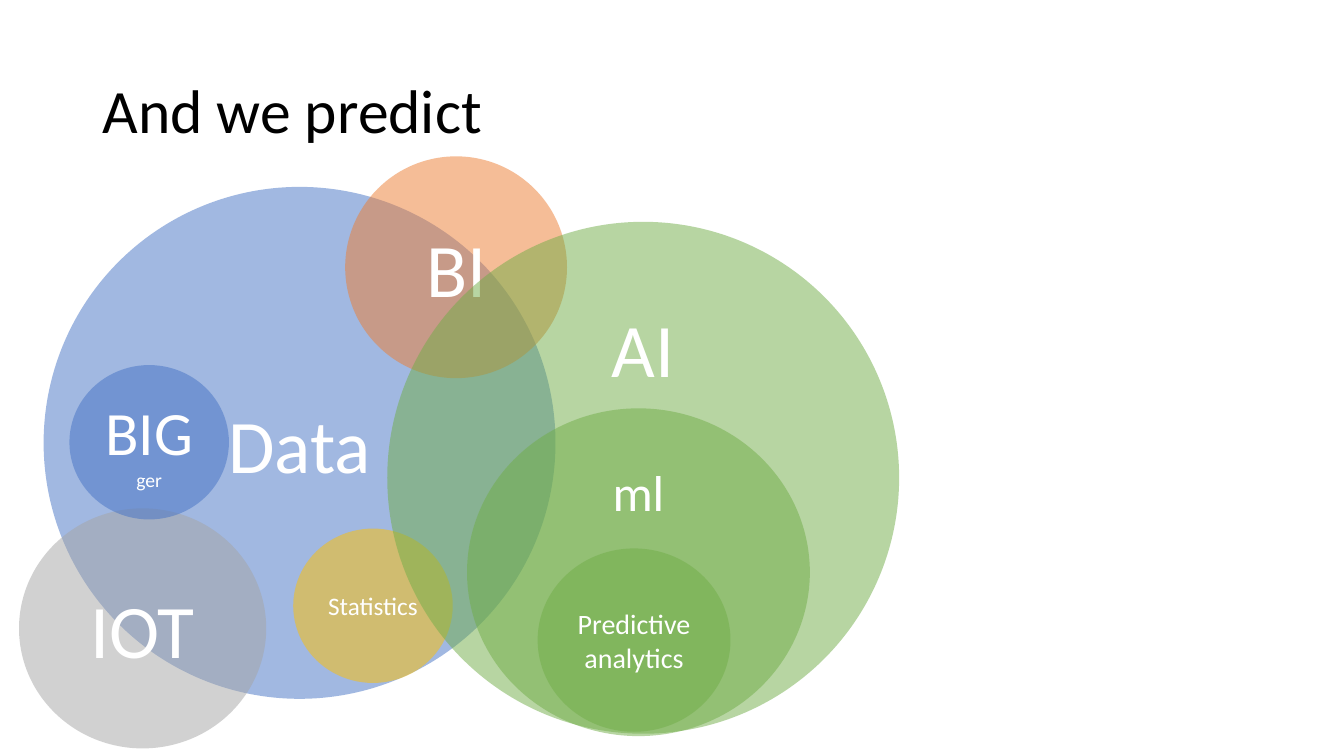
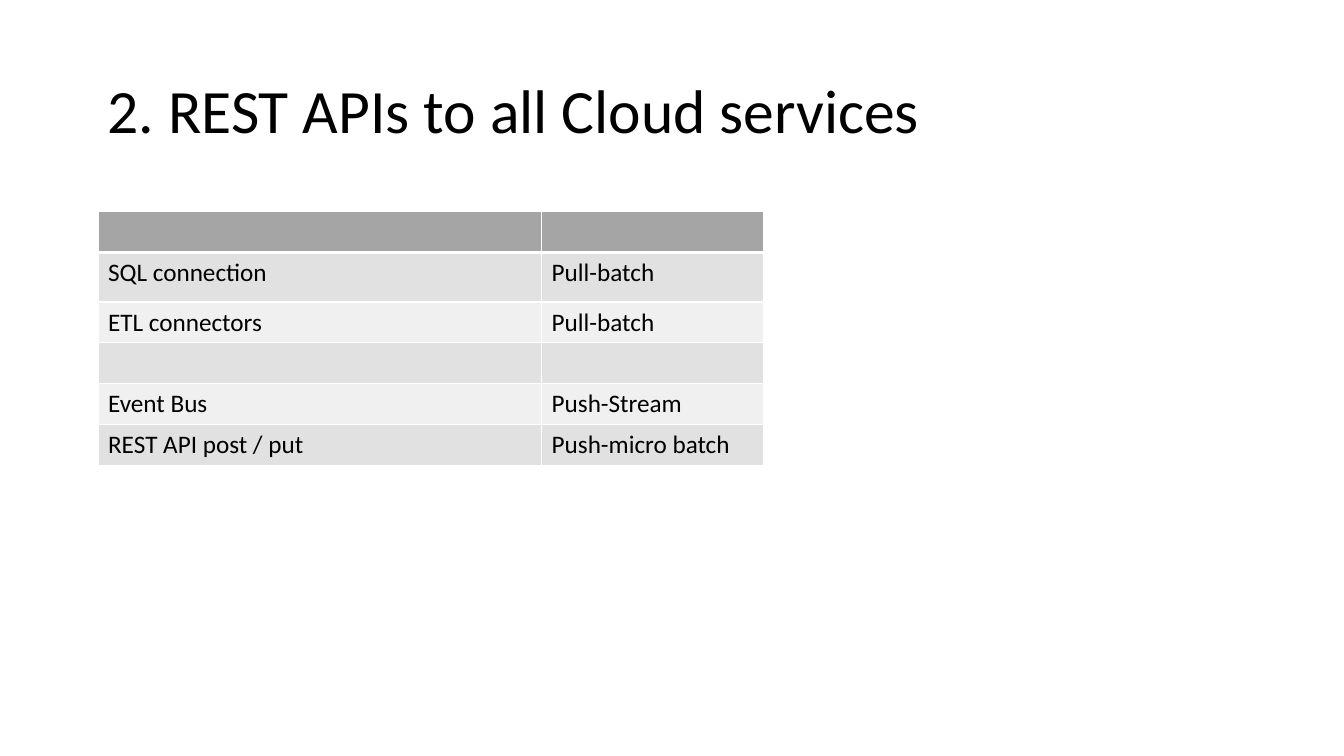
from lxml.etree import SubElement
from pptx import Presentation
from pptx.dml.color import RGBColor
from pptx.enum.shapes import MSO_SHAPE
from pptx.enum.text import MSO_ANCHOR, PP_ALIGN
from pptx.oxml.ns import qn
from pptx.util import Cm, Pt

FONT = "Calibri"
BLACK, WHITE = "000000", "FFFFFF"
BLUE, ORANGE, GRAY, GOLD, GREEN = "4472C4", "ED7D31", "A5A5A5", "FFC000", "70AD47"
BANDS = ["E1E1E1", "F0F0F0"]


def rgb(value):
    return RGBColor.from_string(value)


def write(frame, text, size=18, color=BLACK, align=PP_ALIGN.LEFT,
          anchor=MSO_ANCHOR.TOP, line_spacing=1.0):
    """Add a run to the first paragraph of a text frame."""
    frame.word_wrap = True
    frame.vertical_anchor = anchor
    paragraph = frame.paragraphs[0]
    paragraph.alignment = align
    paragraph.line_spacing = line_spacing
    run = paragraph.add_run()
    run.text = text
    run.font.name = FONT
    run.font.size = Pt(size)
    run.font.color.rgb = rgb(color)


deck = Presentation()
deck.slide_width, deck.slide_height = Cm(33.87), Cm(19.05)

# Slides with their titles
slides = []
for title, left in [("And we predict", 2.34),
                    ("2. REST APIs to all Cloud services", 2.46)]:
    slide = deck.slides.add_slide(deck.slide_layouts[6])
    heading = slide.shapes.add_textbox(Cm(left), Cm(1.01), Cm(29.21), Cm(3.68))
    write(heading.text_frame, title, size=44, anchor=MSO_ANCHOR.MIDDLE, line_spacing=0.9)
    slides.append(slide)
prediction, services = slides

# Overlapping fields: left, top, width, height, colour, anchor, (text, size) runs
MIDDLE, TOP = MSO_ANCHOR.MIDDLE, MSO_ANCHOR.TOP
fields = [
    (1.1, 4.71, 12.9, 12.9, BLUE, MIDDLE, [("Data", 54)]),
    (8.7, 3.94, 5.59, 5.59, ORANGE, MIDDLE, [("BI", 54)]),
    (0.48, 12.81, 6.23, 6.05, GRAY, MIDDLE, [("IOT", 54)]),
    (7.39, 13.32, 4.02, 3.89, GOLD, MIDDLE, [("Statistics", 18)]),
    (1.75, 9.2, 4.02, 3.89, BLUE, MIDDLE, [("BIG", 44), ("ger", 14)]),
    (9.76, 5.59, 12.9, 12.9, GREEN, TOP, [("AI", 54)]),
    (11.77, 10.29, 8.64, 8.26, GREEN, TOP, [("ml", 36)]),
    (13.55, 13.82, 4.86, 4.62, GREEN, MIDDLE, [("Predictive analytics", 20)]),
]
for left, top, width, height, color, anchor, runs in fields:
    field = prediction.shapes.add_shape(
        MSO_SHAPE.OVAL, Cm(left), Cm(top), Cm(width), Cm(height))
    field.shadow.inherit = False
    field.line.fill.background()
    field.fill.solid()
    field.fill.fore_color.rgb = rgb(color)
    fill_color = field.element.spPr.find(qn("a:solidFill")).find(qn("a:srgbClr"))
    SubElement(fill_color, qn("a:alpha"), val="50000")
    for text, size in runs:
        write(field.text_frame, text, size=size, color=WHITE,
              align=PP_ALIGN.CENTER, anchor=anchor)

# Table of connection types
connections = [
    ("", ""),
    ("SQL connection", "Pull-batch"),
    ("ETL connectors", "Pull-batch"),
    ("", ""),
    ("Event Bus", "Push-Stream"),
    ("REST API post / put", "Push-micro batch"),
]
column_widths = [11.18, 5.59]
row_heights = [1.03, 1.25, 1.03, 1.03, 1.03, 1.03]
table = services.shapes.add_table(
    len(connections), len(column_widths), Cm(2.47), Cm(5.33),
    Cm(sum(column_widths)), Cm(sum(row_heights))).table
table.horz_banding = False
for column, width in zip(table.columns, column_widths):
    column.width = Cm(width)

for r, (texts, height) in enumerate(zip(connections, row_heights)):
    table.rows[r].height = Cm(height)
    for c, text in enumerate(texts):
        cell = table.cell(r, c)
        # White borders, thicker around the line below the header
        properties = cell._tc.get_or_add_tcPr()
        for side in "LRTB":
            below_header = (r, side) in [(0, "B"), (1, "T")]
            border = SubElement(properties, qn(f"a:ln{side}"),
                                w=str(Pt(3 if below_header else 1)))
            border_fill = SubElement(border, qn("a:solidFill"))
            SubElement(border_fill, qn("a:srgbClr"), val=WHITE)
        cell.fill.solid()
        cell.fill.fore_color.rgb = rgb(BANDS[(r - 1) % 2] if r else GRAY)
        if text:
            write(cell.text_frame, text)

deck.save("out.pptx")
